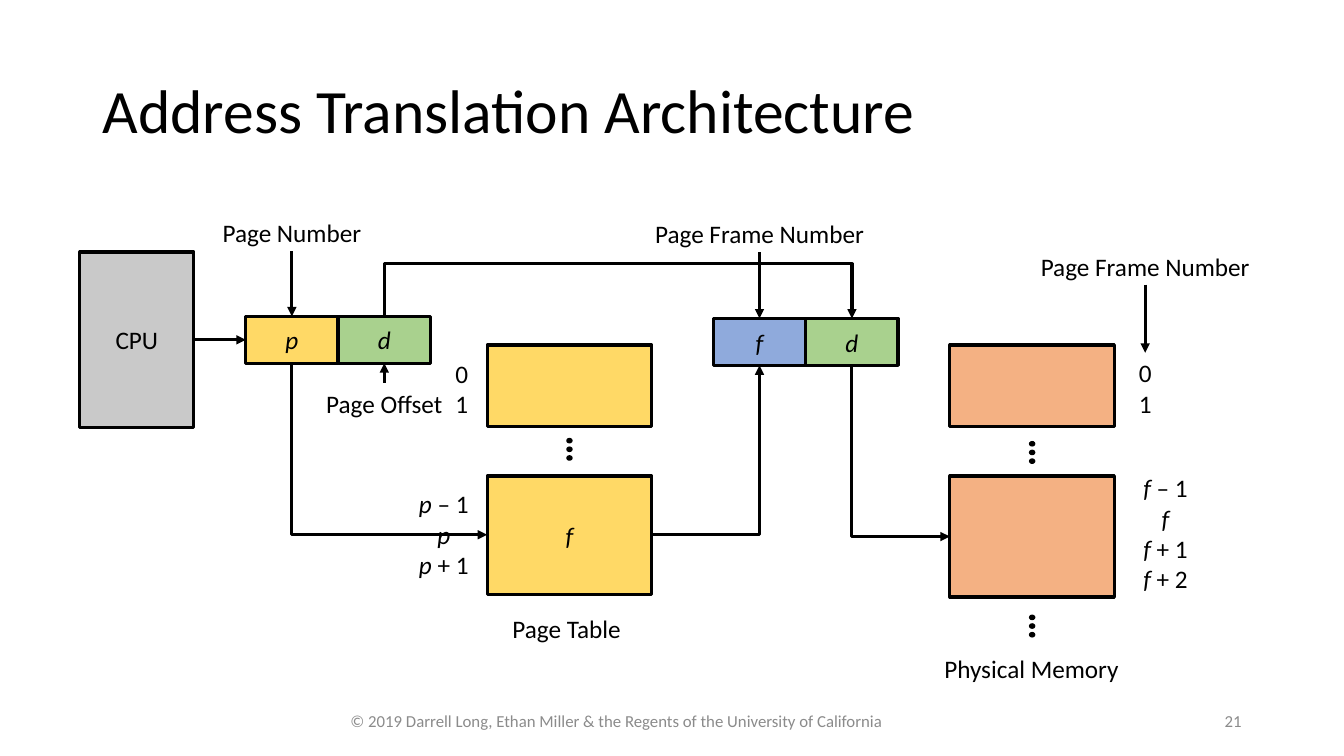
from lxml import etree
from pptx import Presentation
from pptx.dml.color import RGBColor
from pptx.enum import shapes, text
from pptx.oxml import ns
from pptx.util import Pt

BLACK = RGBColor(0, 0, 0)
GREY = RGBColor(0xC9, 0xC9, 0xC9)
FAINT = RGBColor(0x8B, 0x8B, 0x8B)
GOLD = RGBColor(0xFF, 0xD9, 0x66)
GREEN = RGBColor(0xA9, 0xD1, 0x8E)
BLUE = RGBColor(0x8F, 0xAA, 0xDC)
PEACH = RGBColor(0xF4, 0xB1, 0x83)

LEFT, MID, RIGHT = text.PP_ALIGN.LEFT, text.PP_ALIGN.CENTER, text.PP_ALIGN.RIGHT
CENTRE = text.MSO_ANCHOR.MIDDLE
TOP, WEST, BOTTOM, EAST = range(4)


class Sketch:
    font = "Calibri"
    size = 18
    weight = 2.25

    def __init__(self, slide):
        self.slide = slide
        self.shapes = slide.shapes

    def put(self, frame, lines, size=size, color=BLACK, align=MID):
        """Fill a frame; a leading variable p, d or f is set in italics."""
        for i, line in enumerate(lines):
            para = frame.paragraphs[0] if i == 0 else frame.add_paragraph()
            para.alignment = align
            font = para.font
            font.name, font.size = self.font, Pt(size)
            font.color.rgb = color
            if line[0] in "pdf":
                run = para.add_run()
                run.text, run.font.italic = line[0], True
                line = line[1:]
            if line:
                para.add_run().text = line

    def title(self, words, x, y, w, h):
        head = self.shapes.title
        head.left, head.top, head.width, head.height = map(Pt, (x, y, w, h))
        head.text_frame.vertical_anchor = CENTRE
        self.put(head.text_frame, [words], 44, align=LEFT)
        head.text_frame.paragraphs[0].line_spacing = 0.9

    def label(self, lines, x, y, w, h, anchor=text.MSO_ANCHOR.TOP, wrap=False, **style):
        box = self.shapes.add_textbox(Pt(x), Pt(y), Pt(w), Pt(h))
        box.text_frame.word_wrap = wrap
        box.text_frame.vertical_anchor = anchor
        self.put(box.text_frame, lines, **style)
        return box

    def shape(self, kind, x, y, w, h, fill, weight):
        item = self.shapes.add_shape(kind, Pt(x), Pt(y), Pt(w), Pt(h))
        item.shadow.inherit = False
        item.fill.solid()
        item.fill.fore_color.rgb = fill
        item.line.color.rgb = BLACK
        item.line.width = Pt(weight)
        return item

    def box(self, x, y, w, h, fill, words=""):
        item = self.shape(shapes.MSO_SHAPE.RECTANGLE, x, y, w, h, fill, self.weight)
        if words:
            item.text_frame.vertical_anchor = CENTRE
            self.put(item.text_frame, [words])
        return item

    def dots(self, x, y):
        """Three stacked dots centred on x, starting at y."""
        for i in range(3):
            self.shape(shapes.MSO_SHAPE.OVAL, x - 1.8, y + 6.2 * i, 3.6, 3, BLACK, 1)

    def line(self, kind, x1, y1, x2, y2, end="tailEnd"):
        link = self.shapes.add_connector(kind, Pt(x1), Pt(y1), Pt(x2), Pt(y2))
        link.line.color.rgb = BLACK
        link.line.width = Pt(self.weight)
        props = link._element.spPr
        etree.SubElement(props.find(ns.qn("a:ln")), ns.qn("a:" + end), type="triangle")
        etree.SubElement(props, ns.qn("a:effectLst"))
        return link

    def join(self, start, side, goal, other):
        link = self.line(shapes.MSO_CONNECTOR.STRAIGHT, 0, 0, 0, 0)
        link.begin_connect(start, side)
        link.end_connect(goal, other)

    def turn(self, x1, y1, x2, y2, end="tailEnd"):
        """One bend: across to x2, then up or down to y2."""
        link = self.line(shapes.MSO_CONNECTOR.ELBOW, x1, y1, x2, y2, end)
        link._element.spPr.find(ns.qn("a:prstGeom")).set("prst", "bentConnector2")

    def bridge(self, x1, y1, x2, y2, rise):
        """Up by rise from the first point, across, and down to the second."""
        cx, cy = (x1 + x2) / 2, (y1 + y2) / 2
        w, h = y2 - y1, x2 - x1
        link = self.line(shapes.MSO_CONNECTOR.ELBOW,
                         cx + w / 2, cy - h / 2, cx - w / 2, cy + h / 2)
        props = link._element.spPr
        props.find(ns.qn("a:xfrm")).set("rot", str(270 * 60000))
        guides = props.find(ns.qn("a:prstGeom")).get_or_add_avLst()
        etree.SubElement(guides, ns.qn("a:gd"), name="adj1",
                         fmla=f"val {round(-rise / w * 100000)}")


def main():
    deck = Presentation()
    deck.slide_width, deck.slide_height = Pt(960), Pt(540)
    art = Sketch(deck.slides.add_slide(deck.slide_layouts[5]))

    art.title("Address Translation Architecture", 66, 28.75, 828, 104.5)
    art.label(["© 2019 Darrell Long, Ethan Miller & the Regents of the University of California"],
              238.5, 500.5, 404, 28.75, CENTRE, True, size=12, color=FAINT)
    art.label(["21"], 678, 500.5, 216, 28.75, CENTRE, True,
              size=12, color=FAINT, align=RIGHT)

    cpu = art.box(57, 180, 81.5, 125.5, GREY, "CPU")
    cell = 66
    page, shift = [art.box(175.5 + cell * i, 226, cell, 33.5, fill, name)
                   for i, (name, fill) in enumerate([("p", GOLD), ("d", GREEN)])]
    frame, _ = [art.box(509.5 + cell * i, 227.5, cell, 33.5, fill, name)
                for i, (name, fill) in enumerate([("f", BLUE), ("d", GREEN)])]
    for x, tall, fill, name in [(348, 84.5, GOLD, "f"), (678.5, 86.5, PEACH, "")]:
        art.box(x, 246.5, 117.5, 58.5, fill)
        art.box(x, 340, 117.5, tall, fill, name)

    art.join(cpu, EAST, page, WEST)
    art.turn(348, 382, 208.5, 259.5, "headEnd")
    art.turn(465.5, 382, 542.5, 261)
    art.turn(678.5, 383.25, 608.5, 261, "headEnd")
    art.bridge(274.5, 226, 608.5, 227.5, 37.5)

    for x, y in [(406.75, 313.25), (737.25, 315.5), (737.25, 439.5)]:
        art.dots(x, y)

    art.label(["0", "1"], 315, 252.5, 29.5, 48.5)
    first = art.label(["0", "1"], 803.25, 252, 29.5, 48.5)
    art.label(["p – 1", "p", "p + 1"], 291, 345.5, 52, 73)
    art.label(["f – 1", "f", "f + 1", "f + 2"], 806.5, 334, 52, 95)
    number = art.label(["Page Number"], 149.5, 152, 118, 27.5)
    offset = art.label(["Page Offset"], 215.5, 273.5, 118, 27.5)
    above, memory = [art.label(["Page Frame Number"], x, y, 170, 27.5)
                     for x, y in [(457.5, 152.75), (733, 175.75)]]
    art.join(number, BOTTOM, page, TOP)
    art.join(offset, TOP, shift, BOTTOM)
    art.join(above, BOTTOM, frame, TOP)
    art.join(memory, BOTTOM, first, TOP)
    art.label(["Page Table"], 356.5, 434.5, 96.5, 27.5)
    art.label(["Physical Memory"], 662.5, 463, 148.5, 27.5)

    deck.save("out.pptx")


if __name__ == "__main__":
    main()
